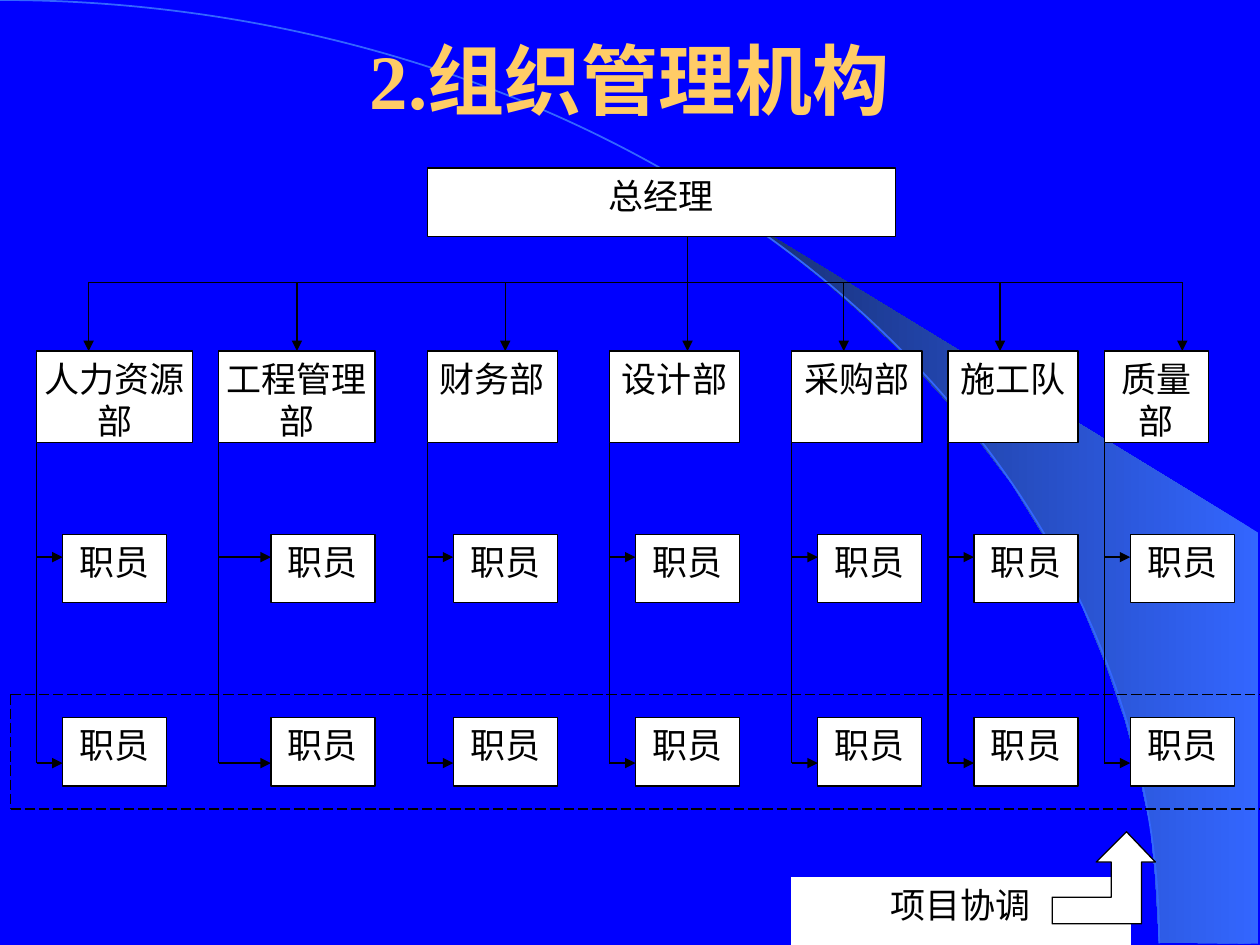
from lxml import etree
from pptx import Presentation
from pptx.dml.color import RGBColor
from pptx.enum.dml import MSO_LINE
from pptx.enum.shapes import MSO_CONNECTOR, MSO_SHAPE
from pptx.enum.text import MSO_ANCHOR, MSO_AUTO_SIZE, PP_ALIGN
from pptx.oxml.ns import qn
from pptx.util import Pt

RECTANGLE, ARC = MSO_SHAPE.RECTANGLE, MSO_SHAPE.ARC
STRAIGHT = MSO_CONNECTOR.STRAIGHT
LONG_DASH = MSO_LINE.LONG_DASH
TOP, MIDDLE = MSO_ANCHOR.TOP, MSO_ANCHOR.MIDDLE
NO_AUTOFIT = MSO_AUTO_SIZE.NONE
CENTER = PP_ALIGN.CENTER

BLUE = RGBColor(0x00, 0x00, 0xFF)
LIGHT_BLUE = RGBColor(0x33, 0x66, 0xFF)
NAVY = RGBColor(0x17, 0x2F, 0x75)
GOLD = RGBColor(0xFF, 0xCC, 0x66)
WHITE = RGBColor(0xFF, 0xFF, 0xFF)
BLACK = RGBColor(0x00, 0x00, 0x00)

FONT = "Times New Roman"
LINE_WIDTH = 0.75

# Chart grid: cell size in points
CELL_WIDTH, CELL_HEIGHT = 14.88, 13.08

# Name, column, width, arrow offset and staff indent, all in grid cells
DEPARTMENTS = [
    ("人力资源部", 0, 6, 2, 1),
    ("工程管理部", 7, 6, 3, 2),
    ("财务部", 15, 5, 3, 1),
    ("设计部", 22, 5, 3, 1),
    ("采购部", 29, 5, 2, 1),
    ("施工队", 35, 5, 2, 1),
    ("质量部", 41, 4, 3, 1),
]
BUS_ROW, DEPARTMENT_ROW, DEPARTMENT_HEIGHT = 5, 8, 4
STAFF_ROWS = [(16, 17), (24, 26)]  # box top, arrow row

# Curved wedge beside the arc, in points
WEDGE = [
    (662.4, 538.6), (719.3, 539.3), (719.3, 304.6), (424.1, 124.6), (449.3, 143.3),
    (470.2, 159.8), (493.2, 180), (515.5, 201.6), (548.6, 237.6), (578.2, 276.5),
    (599, 310.3), (617.8, 344.9), (632.2, 380.2), (643, 411.8), (650.2, 438.5),
    (657.4, 472.3), (660.2, 501.1),
]
# Bent arrow outline, in points from its top left corner
BENT_ARROW = [
    (0, 37.4), (33.8, 37.4), (33.8, 17.3), (25.2, 17.3), (42.5, 0),
    (59, 17.3), (51.1, 17.3), (51.1, 52.6), (0, 52.6),
]


def set_attributes(target, **values):
    for name, value in values.items():
        setattr(target, name, value)


def write_text(shape, text, size, color, anchor=TOP, side_inset=7.2, bold=False):
    frame = shape.text_frame
    set_attributes(frame, text=text, word_wrap=True, auto_size=NO_AUTOFIT,
                   vertical_anchor=anchor, margin_left=Pt(side_inset),
                   margin_right=Pt(side_inset), margin_top=Pt(3.6), margin_bottom=Pt(3.6))
    paragraph = frame.paragraphs[0]
    paragraph.alignment = CENTER
    set_attributes(paragraph.font, name=FONT, size=Pt(size), bold=bold)
    paragraph.font.color.rgb = color


def add_outline(slide, points, left=0, top=0):
    corners = [(Pt(left + x), Pt(top + y)) for x, y in points]
    builder = slide.shapes.build_freeform(*corners[0], scale=1.0)
    builder.add_line_segments(corners[1:], close=True)
    shape = builder.convert_to_shape()
    shape.shadow.inherit = False
    return shape


def paint(shape, line_color):
    shape.fill.solid()
    shape.fill.fore_color.rgb = WHITE
    shape.line.color.rgb = line_color
    shape.line.width = Pt(LINE_WIDTH)


class Grid:
    """Places chart parts by grid cell from the given top left corner."""

    def __init__(self, slide, left, top):
        self.slide, self.left, self.top = slide, left, top

    def point(self, column, row):
        return self.left + column * CELL_WIDTH, self.top + row * CELL_HEIGHT

    def box(self, text, column, row, width, height=3, side_inset=0, line_color=BLACK):
        x, y = self.point(column, row)
        shape = self.slide.shapes.add_shape(
            RECTANGLE, Pt(x), Pt(y), Pt(width * CELL_WIDTH), Pt(height * CELL_HEIGHT))
        shape.shadow.inherit = False
        paint(shape, line_color)
        write_text(shape, text, 20, BLACK, side_inset=side_inset)
        return shape

    def line(self, start, end, arrow=False, dashed=False):
        ends = [Pt(value) for value in self.point(*start) + self.point(*end)]
        connector = self.slide.shapes.add_connector(STRAIGHT, *ends)
        connector.line.color.rgb = BLACK
        connector.line.width = Pt(LINE_WIDTH)
        if dashed:
            connector.line.dash_style = LONG_DASH
        properties = connector.element.spPr
        if arrow:
            etree.SubElement(properties.find(qn("a:ln")), qn("a:tailEnd"), type="triangle")
        etree.SubElement(properties, qn("a:effectLst"))
        return connector


def add_background(slide, width, height):
    slide.background.fill.solid()
    slide.background.fill.fore_color.rgb = BLUE

    wedge = add_outline(slide, WEDGE)
    wedge.fill.gradient()
    wedge.fill.gradient_angle = 180
    for stop, color in zip(wedge.fill.gradient_stops, (LIGHT_BLUE, NAVY)):
        stop.color.rgb = color
    wedge.line.fill.background()

    arc = slide.shapes.add_shape(ARC, Pt(-width), Pt(0), Pt(2 * width), Pt(2 * height))
    arc.shadow.inherit = False
    arc.fill.background()
    arc.line.color.rgb = LIGHT_BLUE
    arc.line.width = Pt(1)


def add_title(slide, left, top, width, height):
    title = slide.shapes.title
    set_attributes(title, left=Pt(left), top=Pt(top), width=Pt(width), height=Pt(height))
    write_text(title, "2.组织管理机构", 44, GOLD, anchor=MIDDLE, bold=True)
    slide.shapes.element.append(title.element)  # bring in front of the background


def add_department(grid, name, column, width, arrow_offset, indent):
    box = grid.box(name, column, DEPARTMENT_ROW, width, DEPARTMENT_HEIGHT)
    arrow_column = column + arrow_offset
    drop = grid.line((arrow_column, BUS_ROW), (arrow_column, DEPARTMENT_ROW), arrow=True)
    if 2 * arrow_offset == width:
        drop.end_connect(box, 0)

    # Staff boxes hang from a line at the left edge of the department
    grid.line((column, DEPARTMENT_ROW + DEPARTMENT_HEIGHT), (column, STAFF_ROWS[-1][1]))
    for box_row, arrow_row in STAFF_ROWS:
        grid.box("职员", column + indent, box_row, 4)
        grid.line((column, arrow_row), (column + indent, arrow_row), arrow=True)


def add_organization_chart(slide, left, top):
    grid = Grid(slide, left, top)

    # General manager and the line shared by all departments
    grid.box("总经理", 15, 0, 18, side_inset=7.2)
    grid.line((25, 3), (25, BUS_ROW))
    grid.line((2, BUS_ROW), (44, BUS_ROW))
    for department in DEPARTMENTS:
        add_department(grid, *department)

    # Dashed frame, open on the right
    for start, end in [((-1, 23), (47, 23)), ((-1, 23), (-1, 28)), ((-1, 28), (47, 28))]:
        grid.line(start, end, dashed=True)

    # Project coordination
    grid.box("项目协调", 29, 31, 13, side_inset=7.2, line_color=WHITE)
    paint(add_outline(slide, BENT_ARROW, *grid.point(39, 29)), BLACK)


def main():
    presentation = Presentation()
    presentation.slide_width, presentation.slide_height = Pt(720), Pt(540)
    slide = presentation.slides.add_slide(presentation.slide_layouts[5])
    add_background(slide, 662.4, 539)
    add_title(slide, 54, 0, 612, 90)
    add_organization_chart(slide, 20.9, 96)
    presentation.save("out.pptx")


if __name__ == "__main__":
    main()
